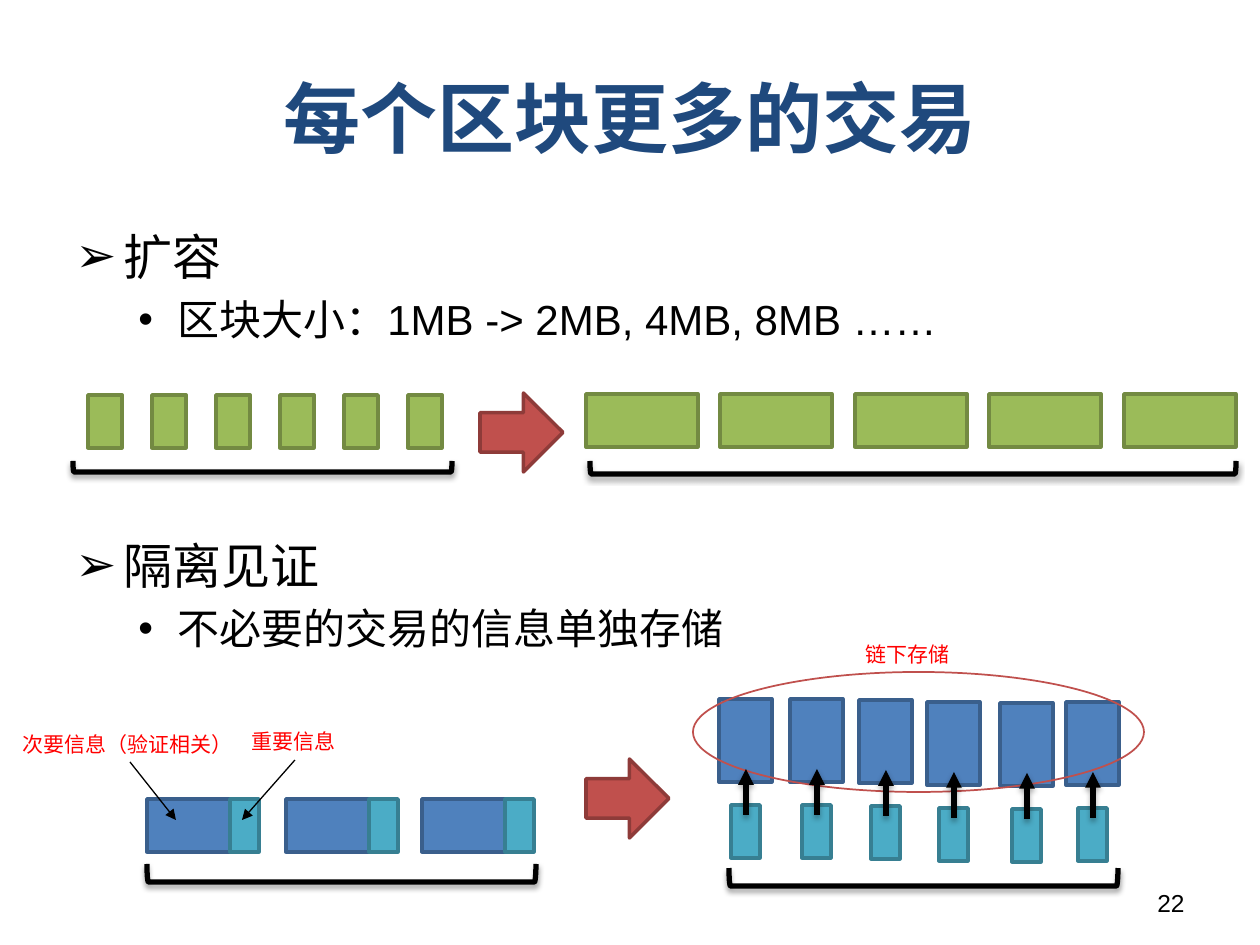
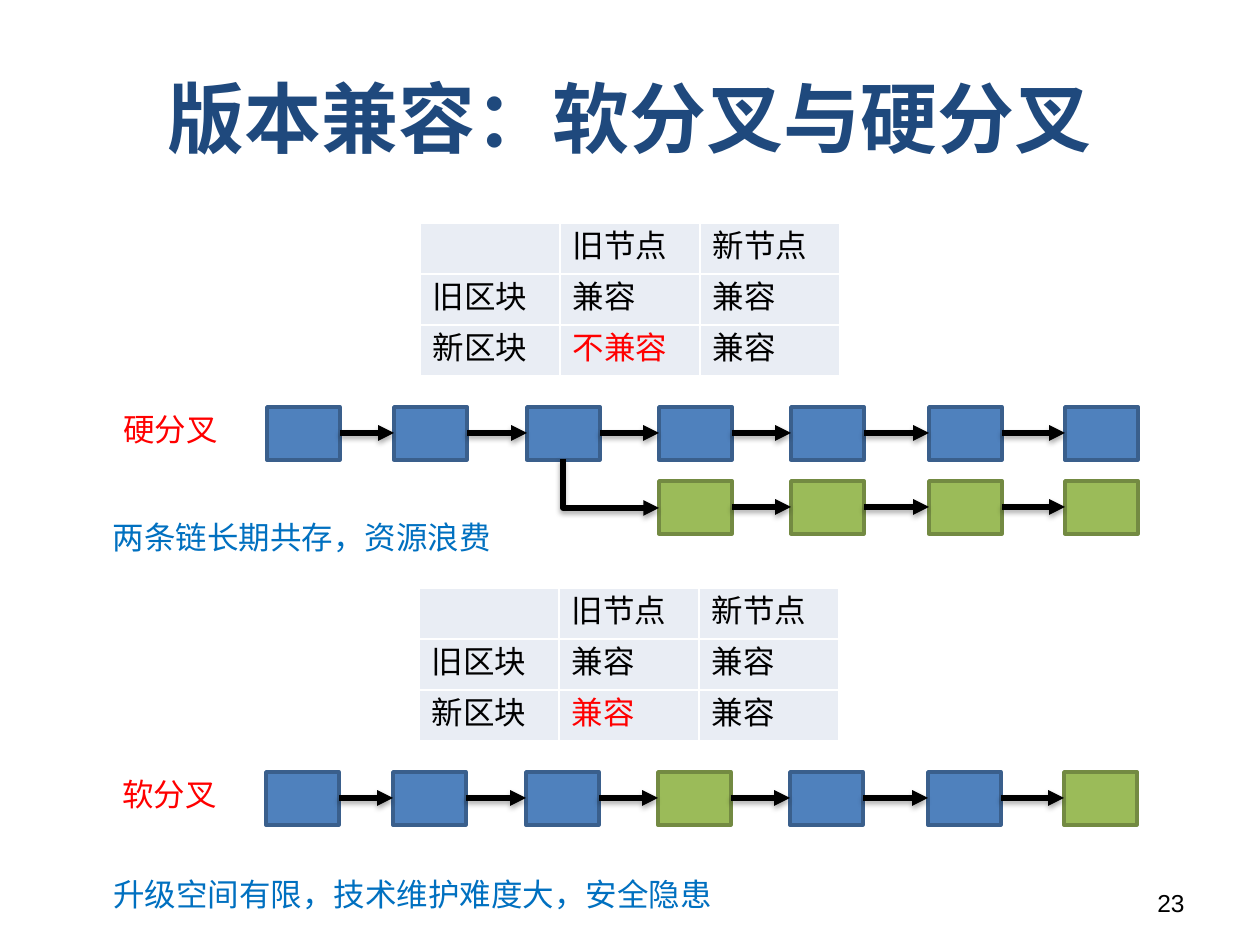
from lxml import etree
from pptx import Presentation
from pptx.dml.color import RGBColor
from pptx.enum.shapes import MSO_CONNECTOR, MSO_SHAPE
from pptx.enum.text import MSO_ANCHOR, PP_ALIGN
from pptx.oxml.ns import qn
from pptx.util import Pt

PX = 914400 / 126
FONT = "Arial"
BLACK = RGBColor(0x00, 0x00, 0x00)
WHITE = RGBColor(0xFF, 0xFF, 0xFF)
NAVY = RGBColor(0x1F, 0x49, 0x7D)
RED = RGBColor(0xFF, 0x00, 0x00)
SKY = RGBColor(0x00, 0x70, 0xC0)
CELL = RGBColor(0xE9, 0xED, 0xF4)
BRICK = RGBColor(0xC0, 0x50, 0x4D)
BRICK_EDGE = RGBColor(0x8E, 0x3B, 0x39)
GREEN = RGBColor(0x9B, 0xBB, 0x59)
GREEN_EDGE = RGBColor(0x73, 0x8A, 0x42)
BLUE = RGBColor(0x4F, 0x81, 0xBD)
BLUE_EDGE = RGBColor(0x3A, 0x5F, 0x8C)
TEAL = RGBColor(0x4B, 0xAC, 0xC6)
TEAL_EDGE = RGBColor(0x37, 0x7F, 0x92)
EDGES = {GREEN: GREEN_EDGE, BLUE: BLUE_EDGE, TEAL: TEAL_EDGE, BRICK: BRICK_EDGE}

RECT, OVAL = MSO_SHAPE.RECTANGLE, MSO_SHAPE.OVAL
BRACKET, BIG_ARROW = MSO_SHAPE.LEFT_BRACKET, MSO_SHAPE.RIGHT_ARROW
STRAIGHT, ELBOW = MSO_CONNECTOR.STRAIGHT, MSO_CONNECTOR.ELBOW
LEFT, CENTER, RIGHT = PP_ALIGN.LEFT, PP_ALIGN.CENTER, PP_ALIGN.RIGHT
TOP, MIDDLE = MSO_ANCHOR.TOP, MSO_ANCHOR.MIDDLE

BLOCK_W, BLOCK_H = 73, 53
CHAIN_XS = (0, 127, 260, 392, 524, 662, 798)


def emu(*lengths):
    """Turn px lengths into EMU."""
    return [round(n * PX) for n in lengths]


def child(parent, tag, **attrs):
    """Append an XML element with attributes."""
    el = etree.SubElement(parent, qn(tag))
    for name, value in attrs.items():
        el.set(name, str(value))
    return el


def set_shadow(sp, on):
    """Give a shape the soft drop shadow, or none."""
    effects = child(sp._element.spPr, "a:effectLst")
    if on:
        shadow = child(effects, "a:outerShdw", blurRad=40000, dist=23000,
                       dir=5400000, rotWithShape=0)
        color = child(shadow, "a:srgbClr", val=BLACK)
        child(color, "a:alpha", val=35000)


def add_run(p, text, size, color=BLACK, bold=False):
    """Add one formatted run to a paragraph."""
    r = p.add_run()
    r.text = text
    for name, value in {"size": Pt(size), "bold": bold, "name": FONT}.items():
        setattr(r.font, name, value)
    r.font.color.rgb = color
    child(r._r.get_or_add_rPr(), "a:ea", typeface=FONT)


def add_text(slide, box, text, size, color=BLACK, align=LEFT, anchor=TOP,
             bold=False, wrap=True):
    """Add a text box with one paragraph."""
    tf = slide.shapes.add_textbox(*emu(*box)).text_frame
    for name, value in {"word_wrap": wrap, "vertical_anchor": anchor}.items():
        setattr(tf, name, value)
    p = tf.paragraphs[0]
    p.alignment = align
    add_run(p, text, size, color, bold)


def add_shape(slide, kind, box, fill=None, edge=None, width=2):
    """Add a preset shape with a plain fill and line."""
    sp = slide.shapes.add_shape(kind, *emu(*box))
    if fill is None:
        sp.fill.background()
    else:
        sp.fill.solid()
        sp.fill.fore_color.rgb = fill
    sp.line.color.rgb = edge or EDGES[fill]
    sp.line.width = Pt(width)
    sp.shadow.inherit = False
    return sp


def turned(x, y, w, h):
    """Return the unrotated box that fills the given box after a quarter turn."""
    return x + (w - h) / 2, y + (h - w) / 2, h, w


def add_bracket(slide, box):
    """Add a bracket that opens upward."""
    sp = add_shape(slide, BRACKET, turned(*box), edge=BLACK, width=3)
    sp.rotation = 270
    spPr = sp._element.spPr
    spPr.remove(spPr.find(qn("a:effectLst")))
    set_shadow(sp, True)


def add_arrow(slide, x1, y1, x2, y2, width=3, kind=STRAIGHT):
    """Add a black line with an arrowhead; heavy ones cast a shadow."""
    sp = slide.shapes.add_connector(kind, *emu(x1, y1, x2, y2))
    sp.line.color.rgb = BLACK
    sp.line.width = Pt(width)
    child(sp.line._get_or_add_ln(), "a:tailEnd", type="triangle")
    set_shadow(sp, width > 1)
    return sp


def add_elbow(slide, x, y, w, h):
    """Add an arrow that goes down and then right."""
    left, top, tw, th = turned(x, y, w, h)
    sp = add_arrow(slide, left, top, left + tw, top + th, kind=ELBOW)
    spPr = sp._element.spPr
    spPr.find(qn("a:prstGeom")).set("prst", "bentConnector2")
    xfrm = spPr.find(qn("a:xfrm"))
    xfrm.set("rot", "16200000")
    xfrm.set("flipH", "1")


def add_frame(prs, title, number):
    """Add a slide with its title and page number."""
    slide = prs.slides.add_slide(prs.slide_layouts[6])
    add_text(slide, (63, 38, 1134, 157), title, 44, NAVY, CENTER, MIDDLE, True)
    add_text(slide, (903, 882, 294, 44), str(number), 14, align=RIGHT)
    return slide


def add_bullets(slide, box, head, detail):
    """Add a heading bullet with one detail bullet below."""
    tf = slide.shapes.add_textbox(*emu(*box)).text_frame
    tf.word_wrap = True
    rows = ((head, 28, "➢", 48, 48, 0), (detail, 24, "•", 102, 39, 4.8))
    for i, (text, size, mark, margin, hang, before) in enumerate(rows):
        p = tf.add_paragraph() if i else tf.paragraphs[0]
        p.space_before = Pt(before)
        pPr = p._p.get_or_add_pPr()
        pPr.set("marL", str(emu(margin)[0]))
        pPr.set("indent", str(emu(-hang)[0]))
        child(pPr, "a:buFont", typeface=FONT)
        child(pPr, "a:buChar", char=mark)
        add_run(p, text, size)


def add_scaling(slide, x, y):
    """Draw small blocks growing into large ones."""
    for i in range(6):
        add_shape(slide, RECT, (x + 15 + 64 * i, y + 2, 34, 53), GREEN)
    for i in range(5):
        add_shape(slide, RECT, (x + 513 + 269 * i // 2, y + 1, 112, 53), GREEN)
    add_shape(slide, BIG_ARROW, (x + 407, y, 83, 79), BRICK)
    add_bracket(slide, (x, y + 68, 379, 11))
    add_bracket(slide, (x + 517, y + 68, 646, 13))


def add_joined_blocks(slide, x, y):
    """Draw blocks that hold both kinds of data, with labels."""
    for dx in (0, 139, 275):
        add_shape(slide, RECT, (x + dx, y, 83, 53), BLUE)
        add_shape(slide, RECT, (x + dx + 83, y, 29, 53), TEAL)
    add_bracket(slide, (x, y + 65, 389, 18))
    add_arrow(slide, x - 17, y - 37, x + 29, y + 21, 0.75)
    add_arrow(slide, x + 148, y - 39, x + 95, y + 21, 0.75)
    for dx, dy, w, text in ((-137, -74, 237, "次要信息（验证相关）"),
                            (92, -77, 111, "重要信息")):
        add_text(slide, (x + dx, y + dy, w, 38), text, 12, RED, wrap=False)


def add_split_blocks(slide, x, y):
    """Draw key data in the chain and the rest stored outside it."""
    places = ((26, 27), (97, 27), (166, 28), (234, 30), (307, 31), (373, 30))
    for dx, dy in places:
        add_shape(slide, RECT, (x + dx, y + dy, 53, 83), BLUE)
        add_shape(slide, RECT, (x + dx + 12, y + dy + 106, 29, 53), TEAL)
    add_shape(slide, OVAL, (x, y, 451, 120), edge=BRICK, width=1)
    for dx, dy in places:
        mid = x + dx + 27
        add_arrow(slide, mid, y + dy + 116, mid, y + dy + 70)
    add_bracket(slide, (x + 36, y + 196, 389, 18))
    add_text(slide, (x + 160, y - 37, 111, 38), "链下存储", 12, RED, wrap=False)


def add_compat_table(slide, x, y, old_node_result):
    """Add the table of block and node compatibility."""
    rows = (("", "旧节点", "新节点"),
            ("旧区块", "兼容", "兼容"),
            ("新区块", old_node_result, "兼容"))
    table = slide.shapes.add_table(3, 3, *emu(x, y, 420, 153)).table
    table.first_row = table.horz_banding = False
    for i, row in enumerate(rows):
        for j, text in enumerate(row):
            cell = table.cell(i, j)
            tcPr = cell._tc.get_or_add_tcPr()
            for side in ("a:lnL", "a:lnR", "a:lnT", "a:lnB"):
                ln = child(tcPr, side, w=12700)
                child(child(ln, "a:solidFill"), "a:srgbClr", val=WHITE)
            cell.fill.solid()
            cell.fill.fore_color.rgb = CELL
            if text:
                color = RED if (i, j) == (2, 1) else BLACK
                add_run(cell.text_frame.paragraphs[0], text, 18, color)


def add_chain(slide, x, y, fills, first=0):
    """Draw blocks joined by arrows, from the given column on."""
    xs = [x + dx for dx in CHAIN_XS[first:]]
    for left, fill in zip(xs, fills):
        add_shape(slide, RECT, (left, y, BLOCK_W, BLOCK_H), fill)
    for left, right in zip(xs, xs[1:]):
        mid = y + BLOCK_H // 2
        add_arrow(slide, left + BLOCK_W, mid, right, mid)


def add_fork(slide, x, y, name, result, fills):
    """Draw a fork type: table, name and main chain."""
    add_compat_table(slide, x + 153, y, result)
    add_chain(slide, x, y + 184, fills)
    add_text(slide, (x - 196, y + 181, 199, 50), name, 18, RED, CENTER)


def build_capacity(prs):
    """Build the slide on more transactions per block."""
    slide = add_frame(prs, "每个区块更多的交易", 22)
    add_bullets(slide, (63, 220, 1134, 147), "扩容",
                "区块大小：1MB -> 2MB, 4MB, 8MB ……")
    add_scaling(slide, 73, 393)
    add_bullets(slide, (63, 529, 1134, 147), "隔离见证",
                "不必要的交易的信息单独存储")
    add_joined_blocks(slide, 147, 799)
    add_shape(slide, BIG_ARROW, (586, 759, 83, 79), BRICK)
    add_split_blocks(slide, 693, 672)


def build_forks(prs):
    """Build the slide on hard and soft forks."""
    slide = add_frame(prs, "版本兼容：软分叉与硬分叉", 23)
    add_fork(slide, 267, 223, "硬分叉", "不兼容", [BLUE] * 7)
    add_chain(slide, 267, 481, [GREEN] * 4, first=3)
    add_elbow(slide, 563, 459, 96, 49)
    add_text(slide, (89, 512, 426, 50), "两条链长期共存，资源浪费", 18, SKY, CENTER)
    add_fork(slide, 266, 588, "软分叉", "兼容",
             [BLUE] * 3 + [GREEN] + [BLUE] * 2 + [GREEN])
    add_text(slide, (71, 869, 683, 50), "升级空间有限，技术维护难度大，安全隐患",
             18, SKY, CENTER)


def main():
    """Build and save the presentation."""
    prs = Presentation()
    prs.slide_width, prs.slide_height = emu(1260, 945)
    build_capacity(prs)
    build_forks(prs)
    prs.save("out.pptx")


if __name__ == "__main__":
    main()
